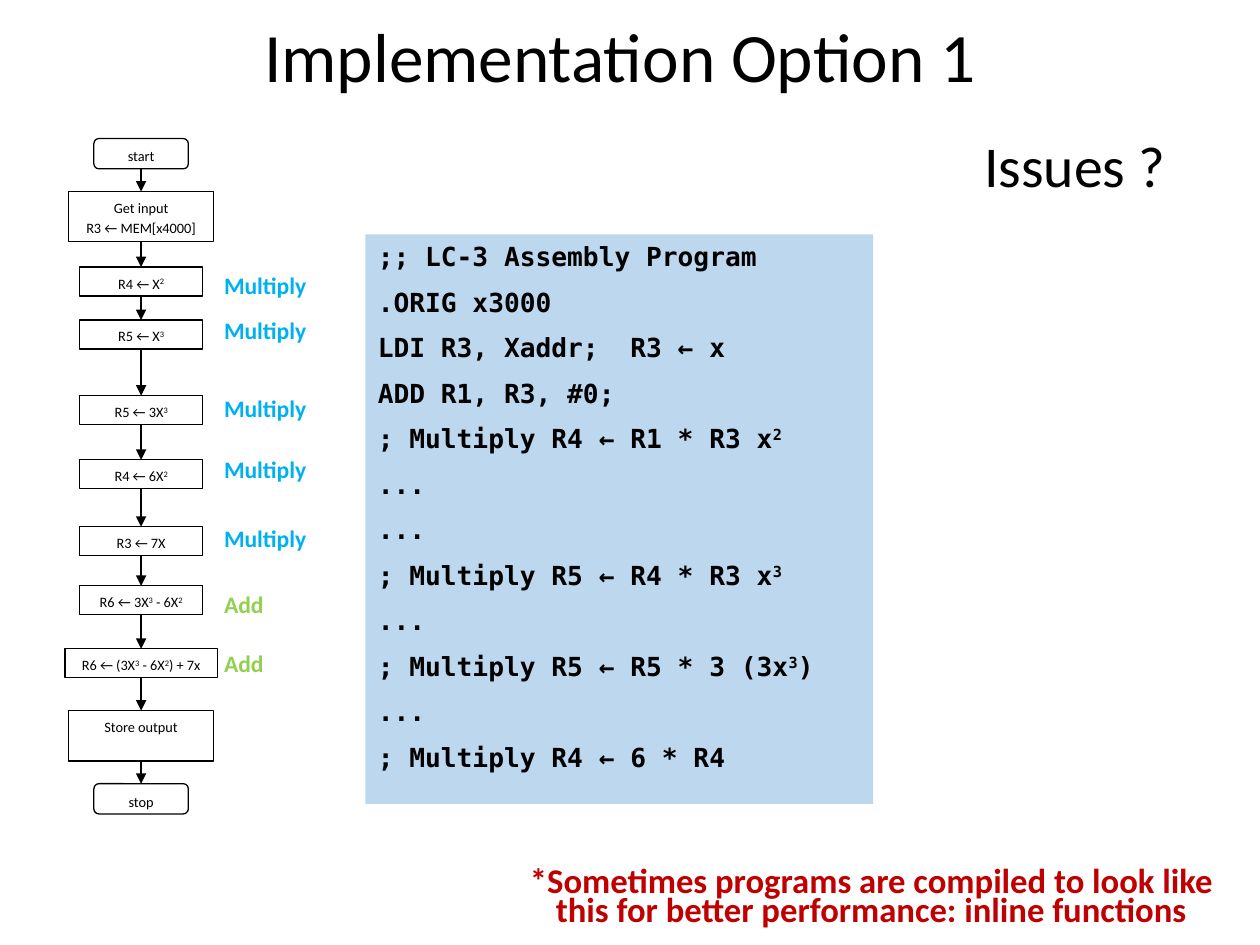
import itertools

import pptx
import pptx.dml.color
import pptx.enum.shapes
import pptx.enum.text
import pptx.oxml
import pptx.oxml.ns
import pptx.util

Pt = pptx.util.Pt
Shape = pptx.enum.shapes.MSO_SHAPE
Align = pptx.enum.text.PP_ALIGN
Anchor = pptx.enum.text.MSO_ANCHOR

COLS, ROWS = 100, 75
HUES = {"ink": "000000", "paper": "FFFFFF", "code": "BDD7EE",
        "mul": "00B0F0", "add": "92D050", "note": "C00000"}
SANS, MONO = "Calibri", "DejaVu Sans Mono"

MID = 11.2  # centre column of the flow chart
# top row, width, height, text
STEPS = [
    (11, 7.5, 2.4, "start"),
    (15.2, 11.5, 4, "Get input\nR3 ← MEM[x4000]"),
    (21.2, 9.8, 2.3, "R4 ← X^2"),
    (25.4, 9.8, 2.3, "R5 ← X^3"),
    (31.4, 9.8, 2.3, "R5 ← 3X^3"),
    (36.5, 9.8, 2.3, "R4 ← 6X^2"),
    (41.8, 9.8, 2.3, "R3 ← 7X"),
    (46.5, 9.8, 2.3, "R6 ← 3X^3 - 6X^2"),
    (51.5, 12.1, 2.3, "R6 ← (3X^3 - 6X^2) + 7x"),
    (56.4, 11.5, 4, "Store output"),
    (62.2, 7.5, 2.4, "stop"),
]
TAGS = [(21, "Multiply"), (24.6, "Multiply"), (30.8, "Multiply"),
        (35.6, "Multiply"), (41.1, "Multiply"), (46.3, "Add"), (51, "Add")]
CODE = [
    ";; LC-3 Assembly Program",
    ".ORIG x3000",
    "LDI R3, Xaddr;  R3 ← x",
    "ADD R1, R3, #0;",
    "; Multiply R4 ← R1 * R3 x^2",
    "...",
    "...",
    "; Multiply R5 ← R4 * R3 x^3",
    "...",
    "; Multiply R5 ← R5 * 3 (3x^3)",
    "...",
    "; Multiply R4 ← 6 * R4",
]


def tint(name):
    return pptx.dml.color.RGBColor.from_string(HUES[name])


def write(frame, paras, size=18, font=SANS, hue="ink", bold=False,
          align=Align.LEFT, lead=1, after=0, anchor=Anchor.TOP, wrap=True):
    """Fill a text frame; ^ raises the next character, a newline breaks the line."""
    frame.word_wrap = wrap
    frame.vertical_anchor = anchor

    def add(para, text, raised=False):
        if not text:
            return
        run = para.add_run()
        run.text = text
        face = run.font
        face.size, face.name, face.bold = Pt(size), font, bold
        face.color.rgb = tint(hue)
        if raised:
            run._r.get_or_add_rPr().set("baseline", "30000")

    for i, text in enumerate(paras):
        para = frame.add_paragraph() if i else frame.paragraphs[0]
        para.alignment, para.line_spacing = align, lead
        para.space_before, para.space_after = Pt(0), Pt(after)
        for j, line in enumerate(text.split("\n")):
            if j:
                para.add_line_break()
            first, *rest = line.split("^")
            add(para, first)
            for part in rest:
                add(para, part[0], raised=True)
                add(para, part[1:])


class Deck:
    """Holds the grid, the file and the current slide."""

    def __init__(self):
        self.file = pptx.Presentation()
        self.file.slide_width = pptx.util.Inches(10)
        self.file.slide_height = pptx.util.Inches(7.5)
        self.slide = self.file.slides.add_slide(self.file.slide_layouts[5])
        self.shapes = self.slide.shapes

    def area(self, left, top, width, height):
        """Turn columns and rows into lengths."""
        col = self.file.slide_width / COLS
        row = self.file.slide_height / ROWS
        return [round(n) for n in
                (left * col, top * row, width * col, height * row)]

    def title(self, spot, text, **style):
        item = self.shapes.title
        item.left, item.top, item.width, item.height = self.area(*spot)
        write(item.text_frame, [text], **style)

    def label(self, spot, text, **style):
        item = self.shapes.add_textbox(*self.area(*spot))
        write(item.text_frame, [text], **style)

    def box(self, spot, paras, fill="paper", edge=None, kind=Shape.RECTANGLE,
            pad=None, **style):
        item = self.shapes.add_shape(kind, *self.area(*spot))
        item.shadow.inherit = False
        item.fill.solid()
        item.fill.fore_color.rgb = tint(fill)
        if edge:
            item.line.color.rgb = tint(edge)
            item.line.width = Pt(0.75)
        else:
            item.line.fill.background()
        frame = item.text_frame
        if pad:
            side, end = (pptx.util.Inches(n) for n in pad)
            frame.margin_left = frame.margin_right = side
            frame.margin_top = frame.margin_bottom = end
        write(frame, paras, **style)
        return item

    def arrow(self, start, stop):
        """Join the bottom of one box to the top of the next."""
        item = self.shapes.add_connector(
            pptx.enum.shapes.MSO_CONNECTOR.STRAIGHT, 0, 0, 0, 0)
        item.begin_connect(start, 2)
        item.end_connect(stop, 0)
        item.line.color.rgb = tint("ink")
        item.line.width = Pt(0.75)
        space = pptx.oxml.ns.nsdecls("a")
        item.line._get_or_add_ln().append(
            pptx.oxml.parse_xml(f'<a:tailEnd {space} type="triangle"/>'))
        item._element.spPr.append(
            pptx.oxml.parse_xml(f"<a:effectLst {space}/>"))


def main():
    deck = Deck()
    mid = {"align": Align.CENTER, "anchor": Anchor.MIDDLE}
    deck.title((6.1, 2.1, 86.2, 5.4), "Implementation Option 1",
               size=39.6, lead=0.9, **mid)
    deck.box((29, 18.6, 40.3, 45.2), CODE, fill="code",
             size=15, font=MONO, bold=True, after=8)

    flow = []
    for top, width, height, text in STEPS:
        kind = (Shape.ROUNDED_RECTANGLE if text in ("start", "stop")
                else Shape.RECTANGLE)
        flow.append(deck.box((MID - width / 2, top, width, height), [text],
                             edge="ink", kind=kind, pad=(0.07, 0.04), size=8.2,
                             align=Align.CENTER, lead=1.15, after=7.5))
    for start, stop in itertools.pairwise(flow):
        deck.arrow(start, stop)

    for top, text in TAGS:
        hue, width = ("add", 5.2) if text == "Add" else ("mul", 8.7)
        deck.label((16.8, top, width, 3.3), text,
                   size=13.5, hue=hue, bold=True, wrap=False)

    deck.label((72.7, 11, 25.2, 5.4), "Issues ?", size=33, lead=0.7, **mid)
    deck.label((39, 67.7, 60.3, 7.3),
               "*Sometimes programs are compiled to look like this "
               "for better performance: inline functions",
               size=19.8, hue="note", bold=True, lead=0.7, **mid)
    deck.file.save("out.pptx")


if __name__ == "__main__":
    main()
